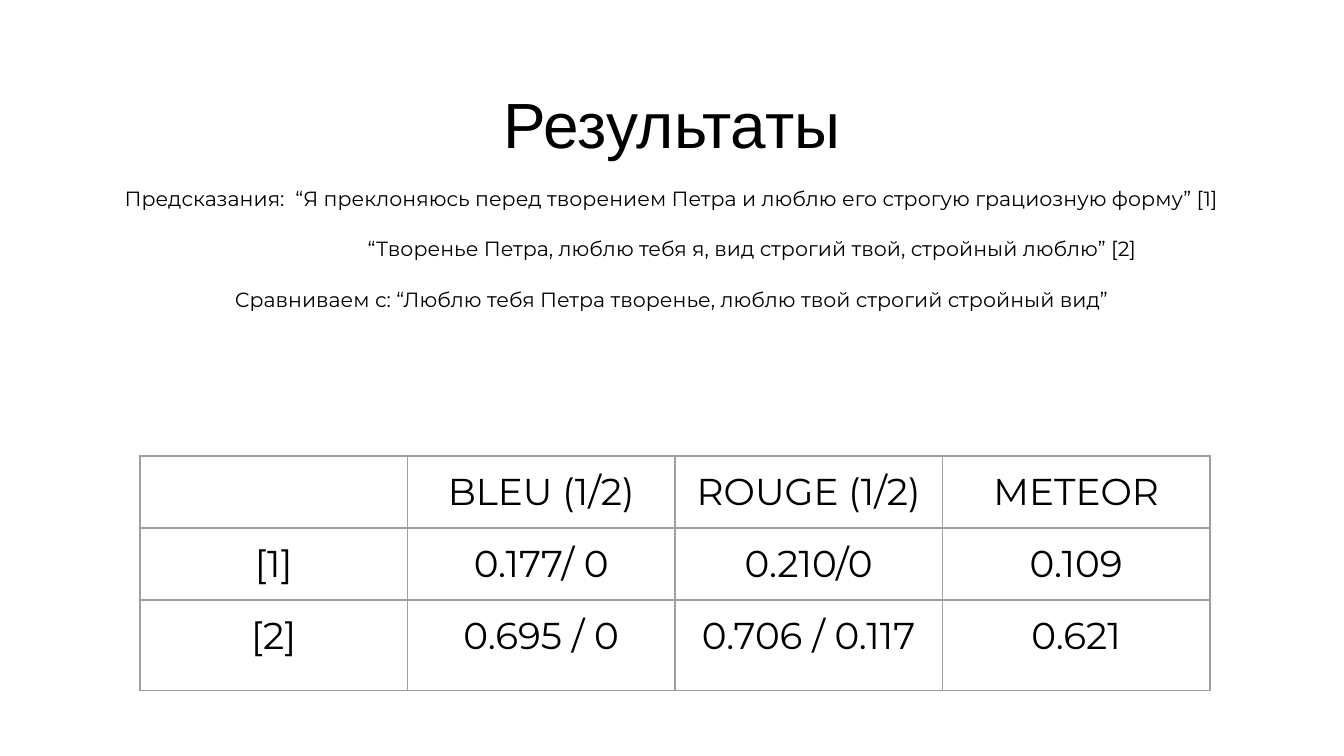
from dataclasses import dataclass

import lxml.etree
import pptx
import pptx.dml.color
import pptx.enum.text
import pptx.oxml.ns
import pptx.util

EMU_PER_PX = 914400 / 134.4
INSET = 13
BLACK = pptx.dml.color.RGBColor(0x00, 0x00, 0x00)
BORDER_GREY = pptx.dml.color.RGBColor(0x9E, 0x9E, 0x9E)


@dataclass
class Line:
    text: str
    left_margin: int = 0
    first_indent: int = 0
    before: int = 0
    after: int = 0


TITLE = [Line("Результаты")]
EXAMPLES = [
    Line("Предсказания:  “Я преклоняюсь перед творением Петра и люблю его строгую грациозную форму” [1]"),
    Line("“Творенье Петра, люблю тебя я, вид строгий твой, стройный люблю” [2]",
         left_margin=67, first_indent=94, before=12),
    Line("Сравниваем с: “Люблю тебя Петра творенье, люблю твой строгий стройный вид”",
         before=12, after=12),
]
SCORES = [
    ["", "BLEU (1/2)", "ROUGE (1/2)", "METEOR"],
    ["[1]", "0.177/ 0", "0.210/0", "0.109"],
    ["[2]", "0.695 / 0", "0.706 / 0.117", "0.621"],
]
ROW_HEIGHTS = [72, 72, 91]


def px(length: int) -> pptx.util.Emu:
    return pptx.util.Emu(round(length * EMU_PER_PX))


def write_line(para, line: Line, *, size: float, font: str = "Montserrat", spacing: float = 1.0) -> None:
    para.alignment = pptx.enum.text.PP_ALIGN.CENTER
    para.line_spacing = spacing
    para.space_before = pptx.util.Pt(line.before)
    para.space_after = pptx.util.Pt(line.after)
    if line.left_margin or line.first_indent:
        properties = para._p.get_or_add_pPr()
        properties.set("marL", str(px(line.left_margin)))
        properties.set("indent", str(px(line.first_indent)))
    para.font.size = pptx.util.Pt(size)
    if line.text:
        span = para.add_run()
        span.text = line.text
        span.font.size = pptx.util.Pt(size)
        span.font.name = font
        span.font.color.rgb = BLACK


def set_insets(target, top: int = INSET) -> None:
    target.margin_left = target.margin_right = target.margin_bottom = px(INSET)
    target.margin_top = px(top)


def add_text(page, lines: list[Line], left: int, top: int, width: int, height: int,
             *, top_inset: int = INSET, **text_format) -> None:
    box = page.shapes.add_textbox(px(left), px(top), px(width), px(height))
    frame = box.text_frame
    frame.word_wrap = True
    frame.vertical_anchor = pptx.enum.text.MSO_ANCHOR.TOP
    set_insets(frame, top_inset)
    for index, line in enumerate(lines):
        para = frame.add_paragraph() if index else frame.paragraphs[0]
        write_line(para, line, **text_format)


def add_borders(cell) -> None:
    properties = cell._tc.get_or_add_tcPr()
    for position, side in enumerate(("lnL", "lnR", "lnT", "lnB")):
        border = lxml.etree.Element(pptx.oxml.ns.qn(f"a:{side}"), w=str(pptx.util.Pt(0.75)))
        fill = lxml.etree.SubElement(border, pptx.oxml.ns.qn("a:solidFill"))
        lxml.etree.SubElement(fill, pptx.oxml.ns.qn("a:srgbClr"), val=str(BORDER_GREY))
        properties.insert(position, border)


def add_score_table(page, left: int, top: int, width: int) -> None:
    frame = page.shapes.add_table(len(SCORES), len(SCORES[0]), px(left), px(top),
                                  px(width), px(sum(ROW_HEIGHTS)))
    table = frame.table
    table.first_row = False
    table.horz_banding = False
    for row, height, texts in zip(table.rows, ROW_HEIGHTS, SCORES):
        row.height = px(height)
        for cell, text in zip(row.cells, texts):
            set_insets(cell)
            cell.fill.background()
            add_borders(cell)
            write_line(cell.text_frame.paragraphs[0], Line(text), size=20)


def main() -> None:
    deck = pptx.Presentation()
    deck.slide_width, deck.slide_height = px(1344), px(756)
    page = deck.slides.add_slide(deck.slide_layouts[6])
    add_text(page, TITLE, 46, 66, 1252, 85, top_inset=19, size=34.2, font="Arial")
    add_text(page, EXAMPLES, 46, 169, 1252, 503, size=11, spacing=1.15)
    add_score_table(page, 140, 456, 1070)
    deck.save("out.pptx")


if __name__ == "__main__":
    main()
